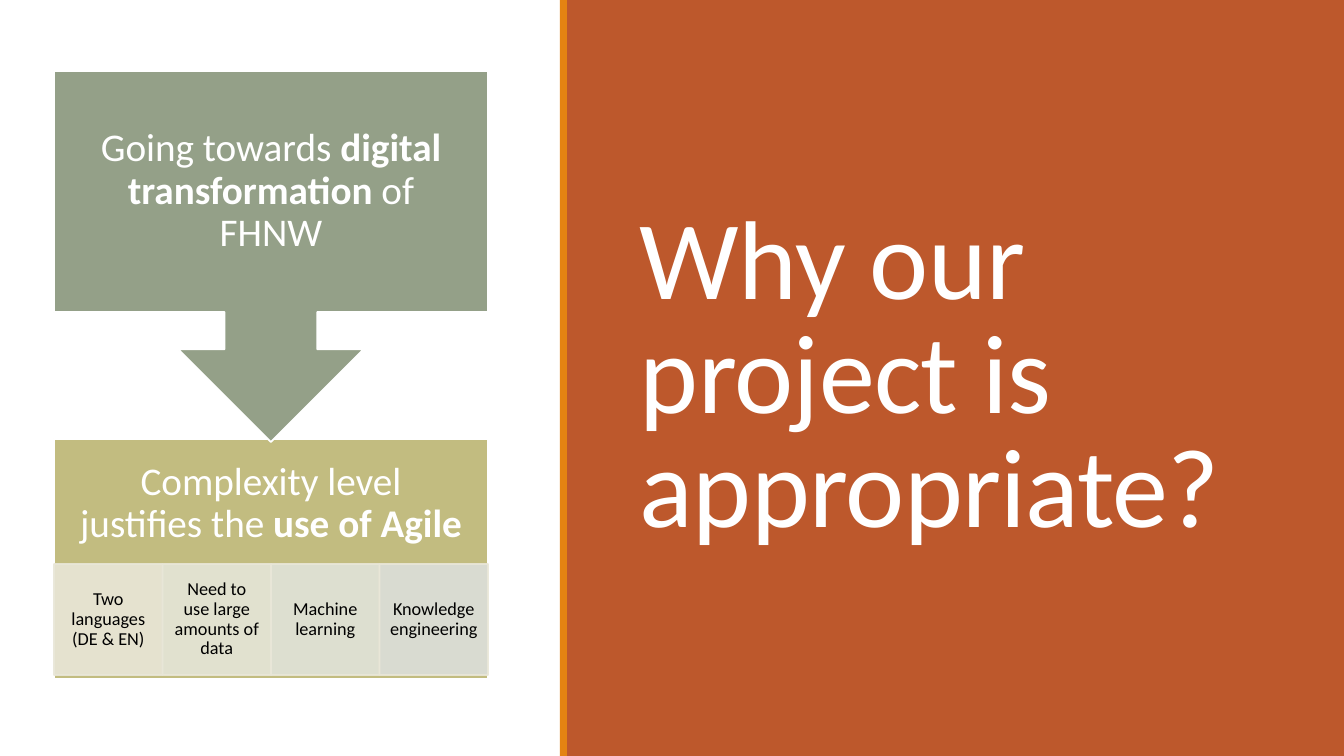
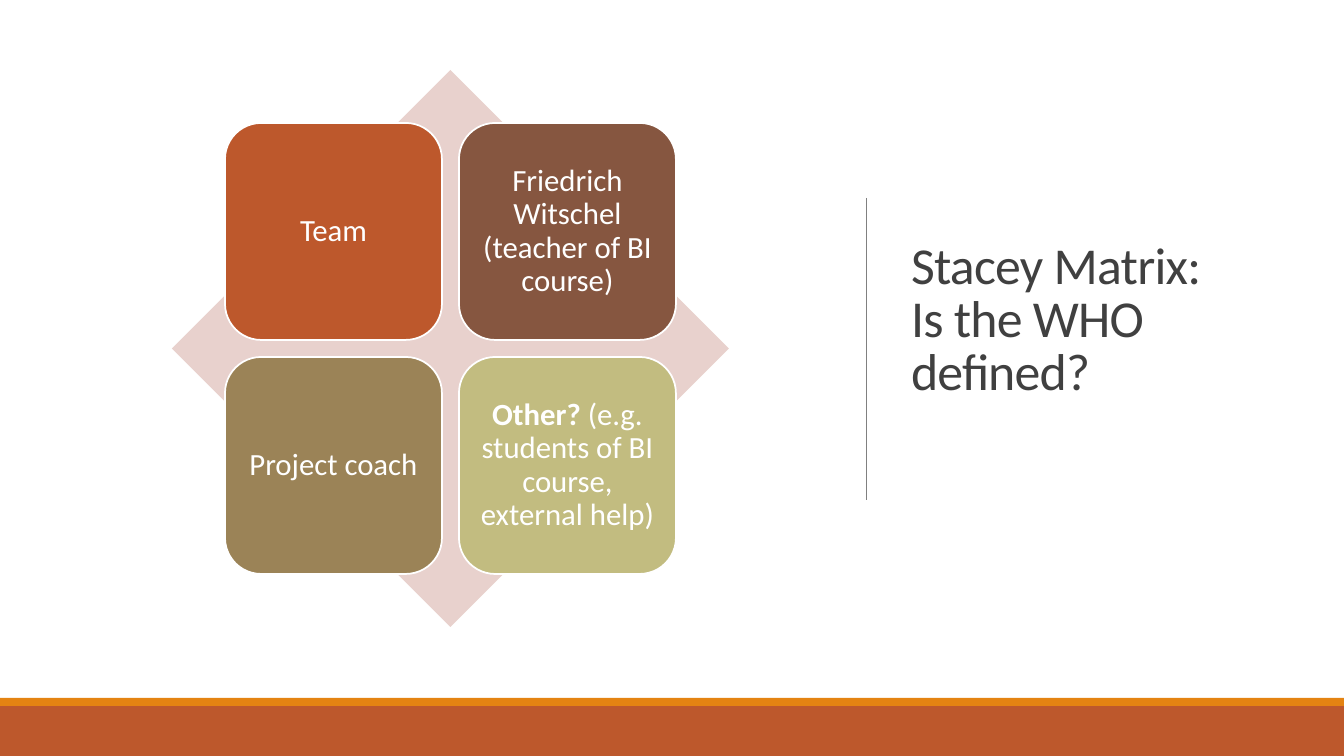
from lxml.etree import SubElement
from pptx import Presentation
from pptx.dml.color import RGBColor
from pptx.enum.shapes import MSO_CONNECTOR, MSO_SHAPE as Kind
from pptx.enum.text import MSO_ANCHOR, MSO_AUTO_SIZE, PP_ALIGN as Align
from pptx.oxml.ns import qn
from pptx.util import Pt

PX = 12192000 / 1344
WIDE, HIGH = 1344, 756
FONT = "Calibri"
RUST, AMBER, WHITE = "BD582C", "E48312", "FFFFFF"
SAGE, OLIVE, CREAM = "94A088", "C2BC80", "E9E7D8"
hue = RGBColor.from_string


def box(slide, kind, area, fill, line=None, alpha=None):
    """Add a preset shape; area is left, top, width, height in px."""
    shape = slide.shapes.add_shape(kind, *[round(v * PX) for v in area])
    shape.shadow.inherit = False
    shape.fill.solid()
    shape.fill.fore_color.rgb = hue(fill)
    if line:
        shape.line.color.rgb = hue(line)
        shape.line.width = Pt(1.25)
    else:
        shape.line.fill.background()
    if alpha:
        for clr in shape.element.spPr.iter(qn("a:srgbClr")):
            SubElement(clr, qn("a:alpha"), val=str(alpha * 1000))
    return shape


def write(shape, words, size, color=WHITE, align=Align.CENTER, space=0.9,
          pads=(9, 9, 9, 9), track=None):
    """Fill a shape with text; stars enclose bold words, \n parts paragraphs."""
    frame = shape.text_frame
    frame.word_wrap = True
    frame.auto_size = MSO_AUTO_SIZE.NONE
    frame.vertical_anchor = MSO_ANCHOR.MIDDLE
    (frame.margin_left, frame.margin_top,
     frame.margin_right, frame.margin_bottom) = [round(v * PX) for v in pads]
    for n, line in enumerate(words.split("\n")):
        par = frame.add_paragraph() if n else frame.paragraphs[0]
        par.alignment = align
        par.line_spacing = space
        for k, piece in enumerate(line.split("*")):
            if not piece:
                continue
            run = par.add_run()
            run.text = piece
            run.font.name = FONT
            run.font.size = Pt(size)
            run.font.bold = k % 2 == 1
            run.font.color.rgb = hue(color)
            if track:
                run.font._element.set("spc", str(track))


deck = Presentation()
deck.slide_width, deck.slide_height = round(WIDE * PX), round(HIGH * PX)

# Both slides: rust panel, amber strip, title
frames = [
    ((567, 0, 777, HIGH), (560, 0, 7, HIGH), (630, 71, 642, 616),
     "Why our project is appropriate?", 80, WHITE),
    ((0, 706, WIDE, 50), (0, 698, WIDE, 8), (901, 70, 392, 503),
     "Stacey Matrix:\nIs the WHO defined?", 37, "404040"),
]
for panel, strip, area, words, size, color in frames:
    slide = deck.slides.add_slide(deck.slide_layouts[5])
    box(slide, Kind.RECTANGLE, panel, RUST)
    band = box(slide, Kind.RECTANGLE, strip, AMBER)
    title = slide.shapes.title
    title.left, title.top, title.width, title.height = [
        round(v * PX) for v in area]
    write(title, words, size, color, align=Align.LEFT, space=0.85,
          pads=(10, 5, 10, 5), track=-50)
    band.element.addnext(title.element)
why, who = deck.slides

# Slide 1: complexity block with its four reasons
left, wide = 54, 434
block = box(why, Kind.RECTANGLE, (left, 439, wide, 240), OLIVE, WHITE)
write(block, "Complexity level justifies the *use of Agile*", 28,
      pads=(22, 22, 22, 132))
reasons = [
    ("Two languages (DE & EN)", CREAM),
    ("Need to use large amounts of data", "E5E6D8"),
    ("Machine learning", "E0E3D9"),
    ("Knowledge engineering", "DCDFDA"),
]
step = wide / len(reasons)
for n, (words, fill) in enumerate(reasons):
    cell = box(why, Kind.RECTANGLE, (left + n * step, 564, step, 111),
               fill, CREAM, alpha=90)
    write(cell, words, 13, "000000", pads=(10, 2, 10, 2))

# Slide 1: callout pointing down to the block
call = box(why, Kind.DOWN_ARROW_CALLOUT, (left, 71, wide, 371), SAGE, WHITE)
write(call, "Going towards *digital transformation* of FHNW", 28,
      pads=(22, 22, 22, 22))

# Slide 2: rule beside the title
rule = who.shapes.add_connector(
    MSO_CONNECTOR.STRAIGHT, *[round(v * PX) for v in (866, 198, 866, 500)])
rule.line.color.rgb = hue("808080")
rule.line.width = Pt(0.5)
SubElement(rule.element.spPr, qn("a:effectLst"))

# Slide 2: matrix of four tiles on a diamond
box(who, Kind.DIAMOND, (172, 70, 557, 557), "E8D1CD")
tiles = [
    ("Team", RUST),
    ("Friedrich Witschel (teacher of BI course)", "865640"),
    ("Project coach", "9B8357"),
    ("*Other?* (e.g. students of BI course, external help)", OLIVE),
]
side, gap = 217, 17
for n, (words, fill) in enumerate(tiles):
    row, col = divmod(n, 2)
    tile = box(who, Kind.ROUNDED_RECTANGLE,
               (225 + col * (side + gap), 123 + row * (side + gap), side, side),
               fill, WHITE)
    write(tile, words, 22)

deck.save("out.pptx")
